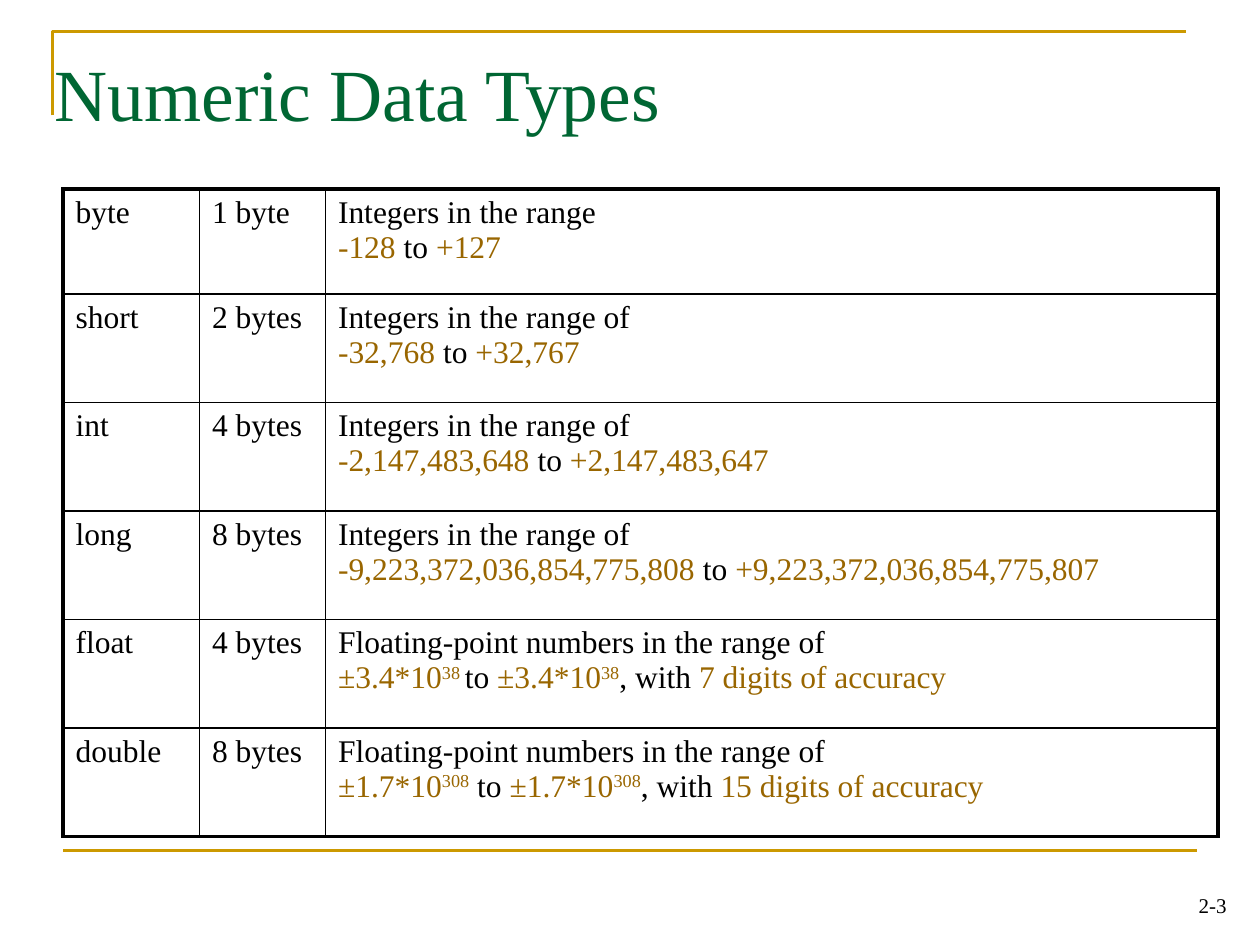
"""Build the Numeric Data Types slide with its table of sizes and ranges."""
from dataclasses import dataclass

from lxml.etree import SubElement
from pptx import Presentation
from pptx.dml.color import RGBColor as RGB
from pptx.enum.shapes import MSO_CONNECTOR as CONN
from pptx.enum.text import MSO_ANCHOR as ANCHOR, MSO_AUTO_SIZE as FIT, PP_ALIGN as ALIGN
from pptx.oxml import parse_xml
from pptx.oxml.ns import nsdecls, qn
from pptx.util import Pt

COLORS = {"title": "006633", "rule": "CC9900", "value": "996600", "text": "000000"}
FONT = "Times New Roman"
OUTER, INNER = 2.25, 1
COLS = (78, 72, 510)
ROWS = (60, 62, 62, 62, 62, 62)


@dataclass(frozen=True)
class Span:
    text: str
    color: str = "text"
    raised: bool = False


@dataclass(frozen=True)
class DataType:
    name: str
    size: str
    intro: str
    limits: tuple[Span, ...]


def integer(name: str, size: str, low: str, high: str, intro: str = "Integers in the range of") -> DataType:
    return DataType(name, size, intro, (Span(low, "value"), Span(" to "), Span(high, "value")))


def floating(name: str, size: str, base: str, power: str, digits: str, gaps: tuple[str, str]) -> DataType:
    after_power, before_to = gaps
    return DataType(name, size, "Floating-point numbers in the range of", (
        Span(base, "value"), Span(power + after_power, "value", True), Span(before_to + "to "),
        Span(base, "value"), Span(power, "value", True), Span(", with "),
        Span(f"{digits} digits of accuracy", "value")))


TYPES = (
    integer("byte", "1 byte", "-128", "+127", "Integers in the range"),
    integer("short", "2 bytes", "-32,768", "+32,767"),
    integer("int", "4 bytes", "-2,147,483,648", "+2,147,483,647"),
    integer("long", "8 bytes", "-9,223,372,036,854,775,808", "+9,223,372,036,854,775,807"),
    floating("float", "4 bytes", "±3.4*10", "38", "7", (" ", "")),
    floating("double", "8 bytes", "±1.7*10", "308", "15", ("", " ")),
)


def set_all(obj, values: dict) -> None:
    for key, value in values.items():
        setattr(obj, key, value)


def add_span(p, span: Span, size: float) -> None:
    r = p.add_run()
    r.text = span.text
    set_all(r.font, {"name": FONT, "size": Pt(size), "bold": False})
    r.font.color.rgb = RGB.from_string(COLORS[span.color])
    if span.raised:
        r._r.get_or_add_rPr().set("baseline", "30000")


def style_rule(sp) -> None:
    sp.line.color.rgb = RGB.from_string(COLORS["rule"])
    sp.line.width = Pt(1.5)


def add_rules(shapes) -> None:
    builder = shapes.build_freeform(Pt(30), Pt(66))
    builder.add_line_segments([(Pt(30), Pt(18)), (Pt(678), Pt(18))], close=False)
    corner = builder.convert_to_shape()
    corner.fill.background()
    corner.shadow.inherit = False
    style_rule(corner)
    base = shapes.add_connector(CONN.STRAIGHT, Pt(36), Pt(486), Pt(684), Pt(486))
    SubElement(base._element.spPr, qn("a:effectLst"))
    style_rule(base)


def add_title(sp, text: str) -> None:
    set_all(sp, {"left": Pt(24), "top": Pt(24), "width": Pt(678), "height": Pt(78)})
    tf = sp.text_frame
    set_all(tf, {"auto_size": FIT.NONE, "vertical_anchor": ANCHOR.TOP, "word_wrap": True})
    p = tf.paragraphs[0]
    set_all(p, {"alignment": ALIGN.LEFT, "line_spacing": 1.0})
    add_span(p, Span(text, "title"), 42)


def add_page_number(shapes, text: str) -> None:
    tf = shapes.add_textbox(Pt(558), Pt(492), Pt(150), Pt(36)).text_frame
    set_all(tf, {"word_wrap": True, "vertical_anchor": ANCHOR.BOTTOM})
    p = tf.paragraphs[0]
    p.alignment = ALIGN.RIGHT
    add_span(p, Span(text), 12)


def set_borders(cell, row: int, col: int) -> None:
    outer = {"L": col == 0, "R": col == len(COLS) - 1, "T": row == 0, "B": row == len(ROWS) - 1}
    for i, (side, is_outer) in enumerate(outer.items()):
        width = Pt(OUTER if is_outer else INNER)
        cell._tc.get_or_add_tcPr().insert(i, parse_xml(
            f'<a:ln{side} {nsdecls("a")} w="{width}"><a:solidFill>'
            f'<a:srgbClr val="{COLORS["text"]}"/></a:solidFill></a:ln{side}>'))


def fill_cell(cell, lines: tuple[tuple[Span, ...], ...]) -> None:
    cell.fill.background()
    tf = cell.text_frame
    for i, line in enumerate(lines):
        p = tf.add_paragraph() if i else tf.paragraphs[0]
        for span in line:
            add_span(p, span, 18)


def add_type_table(shapes, types: tuple[DataType, ...]) -> None:
    table = shapes.add_table(len(ROWS), len(COLS), Pt(36), Pt(108),
                             Pt(sum(COLS)), Pt(sum(ROWS))).table
    set_all(table, {"first_row": False, "horz_banding": False})
    for column, width in zip(table.columns, COLS):
        column.width = Pt(width)
    for row, height in zip(table.rows, ROWS):
        row.height = Pt(height)
    for i, kind in enumerate(types):
        contents = (((Span(kind.name),),), ((Span(kind.size),),),
                    ((Span(kind.intro),), kind.limits))
        for j, lines in enumerate(contents):
            cell = table.cell(i, j)
            fill_cell(cell, lines)
            set_borders(cell, i, j)


def main() -> None:
    prs = Presentation()
    set_all(prs, {"slide_width": Pt(720), "slide_height": Pt(540)})
    s = prs.slides.add_slide(prs.slide_layouts[5])
    add_rules(s.shapes)
    add_page_number(s.shapes, "2-3")
    add_title(s.shapes.title, "Numeric Data Types")
    add_type_table(s.shapes, TYPES)
    prs.save("out.pptx")


if __name__ == "__main__":
    main()
